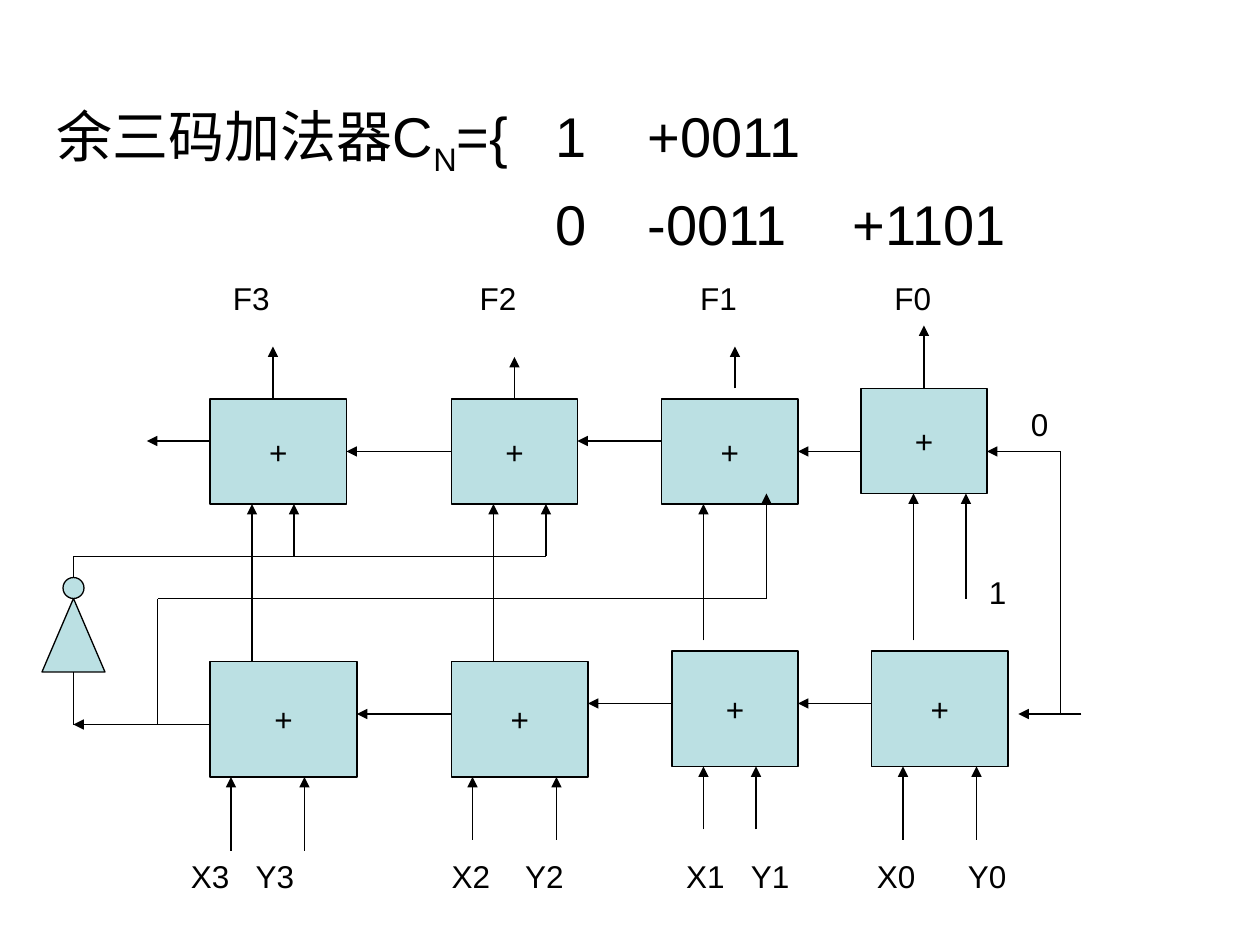
from typing import NamedTuple

from lxml import etree
from pptx import Presentation
from pptx import util as u
from pptx.dml import color
from pptx.enum import shapes, text
from pptx.oxml import ns

Pt = u.Pt
FILL, INK = "BBE0E3", "000000"


class Box(NamedTuple):
    x: float
    y: float
    w: float
    h: float
    kind: shapes.MSO_SHAPE = shapes.MSO_SHAPE.RECTANGLE
    mark: str = "+"

    def sides(self) -> list:
        mid, low = self.x + self.w / 2, self.y + self.h / 2
        return [(mid, self.y), (self.x, low),
                (mid, self.y + self.h), (self.x + self.w, low)]


class Wire(NamedTuple):
    x1: float
    y1: float
    x2: float
    y2: float
    arrow: bool = True


class Label(NamedTuple):
    x: float
    y: float
    w: float
    words: str
    stops: tuple = ()


ADDERS = [
    Box(120, 378, 84, 66), Box(258, 378, 78, 66),
    Box(384, 372, 72, 66), Box(498, 372, 78, 66),
    Box(120, 228, 78, 60), Box(258, 228, 72, 60),
    Box(378, 228, 78, 60), Box(492, 222, 72, 60),
]
GATE = [
    Box(24, 342, 36, 42, shapes.MSO_SHAPE.ISOSCELES_TRIANGLE, ""),
    Box(36, 330, 12, 12, shapes.MSO_SHAPE.OVAL, ""),
]
INPUTS = [
    Wire(x, y, x, end) for x, y, end in [
        (132, 486, 444), (174, 486, 444), (270, 480, 444), (318, 480, 444),
        (402, 474, 438), (432, 474, 438), (516, 480, 438), (558, 480, 438)]
]
SUMS = [
    Wire(x, y, x, end) for x, y, end in [
        (144, 378, 288), (282, 378, 288), (402, 366, 288), (522, 366, 282)]
]
OUTPUTS = [
    Wire(x, y, x, end) for x, y, end in [
        (156, 228, 198), (294, 228, 204), (420, 222, 198), (528, 222, 186)]
]
CARRIES = [
    Wire(x, y, end, y) for x, y, end in [
        (498, 402, 456), (384, 402, 336), (258, 408, 204), (120, 414, 42),
        (492, 258, 456), (378, 252, 330), (258, 258, 198), (120, 252, 84),
        (618, 408, 582)]
]
FIXES = [
    Wire(42, 414, 42, 384, False), Wire(42, 330, 42, 318, False),
    Wire(42, 318, 312, 318, False), Wire(312, 318, 312, 288),
    Wire(168, 318, 168, 288),
    Wire(90, 414, 90, 342, False), Wire(90, 342, 438, 342, False),
    Wire(438, 342, 438, 282), Wire(552, 342, 552, 282),
    Wire(606, 408, 606, 258, False), Wire(606, 258, 564, 258),
]
LABELS = [
    Label(126, 156, 450, "F3\tF2\tF1\tF0", (141, 267, 378)),
    Label(102, 486, 534, "X3\tY3\tX2\tY2\tX1\tY1\tX0\tY0",
          (37, 149, 191, 283, 320, 392, 444)),
    Label(558, 324, 30, "1"),
    Label(582, 228, 42, "0"),
]


def paint(item, tone: str) -> None:
    item.rgb = color.RGBColor.from_string(tone)


def style(para, size: float) -> None:
    para.font.name = "Arial"
    para.font.size = Pt(size)
    paint(para.font.color, INK)


def set_tabs(para, stops: tuple) -> None:
    props = para._p.get_or_add_pPr()
    tabs = etree.Element(ns.qn("a:tabLst"))
    for stop in stops:
        etree.SubElement(tabs, ns.qn("a:tab"), pos=str(Pt(stop)), algn="l")
    font = props.find(ns.qn("a:defRPr"))
    if font is None:
        props.append(tabs)
    else:
        font.addprevious(tabs)


def draw_title(slide) -> None:
    title = slide.shapes.title
    title.left, title.top, title.width, title.height = map(
        Pt, (25, 54.5, 672.5, 91))
    frame = title.text_frame
    frame.word_wrap = True
    frame.auto_size = text.MSO_AUTO_SIZE.NONE
    frame.vertical_anchor = text.MSO_ANCHOR.TOP
    top = frame.paragraphs[0]
    top.add_run().text = "余三码加法器C"
    sub = top.add_run()
    sub.text = "N"
    sub._r.get_or_add_rPr().set("baseline", "-25000")
    top.add_run().text = "={\t1\t+0011"
    low = frame.add_paragraph()
    low.text = "\t0\t-0011\t+1101"
    for para in (top, low):
        para.alignment = text.PP_ALIGN.LEFT
        para.space_before = Pt(6.4)
        style(para, 32)
        set_tabs(para, (285, 338, 455))


def draw_box(slide, box: Box):
    shape = slide.shapes.add_shape(
        box.kind, Pt(box.x), Pt(box.y), Pt(box.w), Pt(box.h))
    shape.shadow.inherit = False
    shape.fill.solid()
    paint(shape.fill.fore_color, FILL)
    paint(shape.line.color, INK)
    shape.line.width = Pt(0.75)
    if box.mark:
        frame = shape.text_frame
        frame.word_wrap = False
        frame.vertical_anchor = text.MSO_ANCHOR.MIDDLE
        para = frame.paragraphs[0]
        para.text = box.mark
        para.alignment = text.PP_ALIGN.CENTER
        style(para, 18)
    return shape


def draw_wire(slide, wire: Wire, joints: dict) -> None:
    start, end = (wire.x1, wire.y1), (wire.x2, wire.y2)
    line = slide.shapes.add_connector(
        shapes.MSO_CONNECTOR.STRAIGHT, *map(Pt, start + end))
    if start in joints:
        line.begin_connect(*joints[start])
    if end in joints:
        line.end_connect(*joints[end])
    paint(line.line.color, INK)
    line.line.width = Pt(0.75)
    if wire.arrow:
        etree.SubElement(line.line._get_or_add_ln(), ns.qn("a:tailEnd"),
                         type="triangle")
    etree.SubElement(line._element.spPr, ns.qn("a:effectLst"))


def draw_label(slide, label: Label) -> None:
    frame = slide.shapes.add_textbox(
        Pt(label.x), Pt(label.y), Pt(label.w), Pt(29)).text_frame
    frame.word_wrap = True
    para = frame.paragraphs[0]
    para.text = label.words
    style(para, 18)
    if label.stops:
        set_tabs(para, label.stops)


def main() -> None:
    deck = Presentation()
    deck.slide_width, deck.slide_height = Pt(720), Pt(540)
    slide = deck.slides.add_slide(deck.slide_layouts[5])
    draw_title(slide)
    joints = {}
    for box in ADDERS:
        shape = draw_box(slide, box)
        joints.update({spot: (shape, i) for i, spot in enumerate(box.sides())})
    for box in GATE:
        draw_box(slide, box)
    for wire in INPUTS + SUMS + OUTPUTS + CARRIES + FIXES:
        draw_wire(slide, wire, joints)
    for label in LABELS:
        draw_label(slide, label)
    deck.save("out.pptx")


if __name__ == "__main__":
    main()
